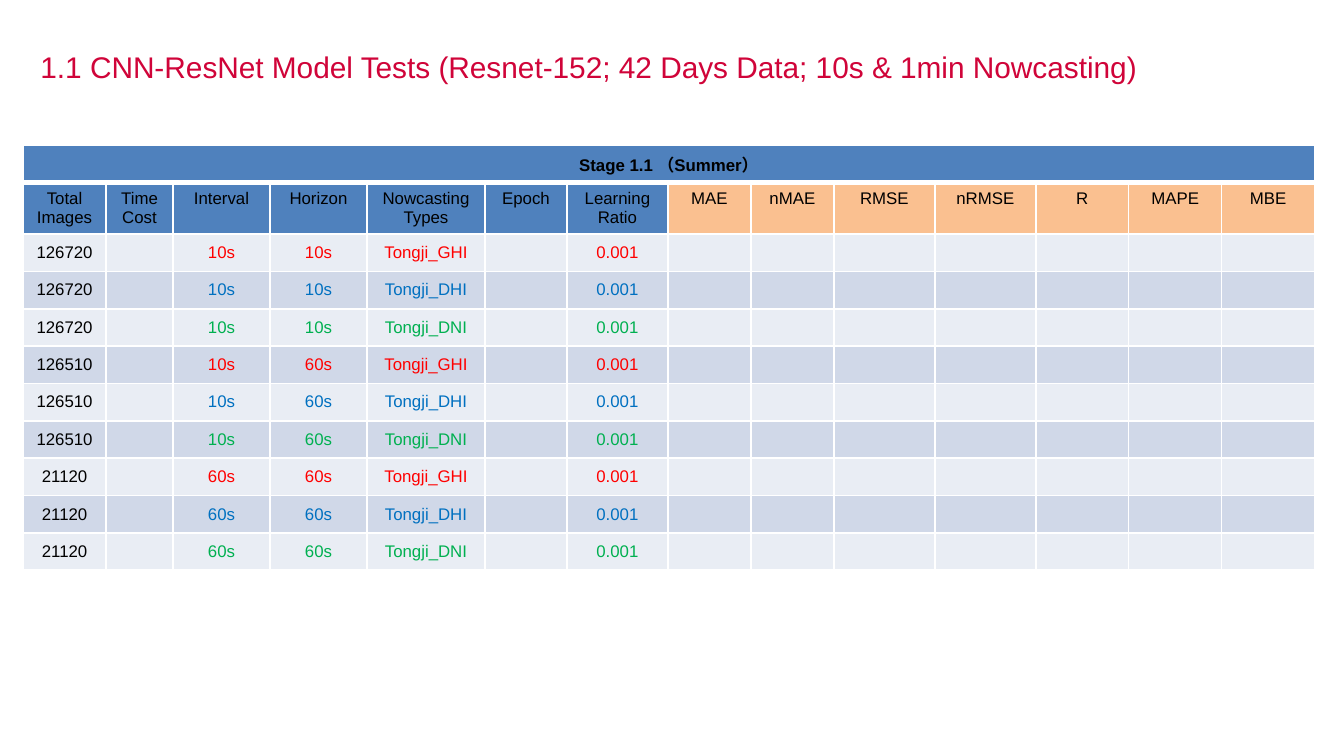
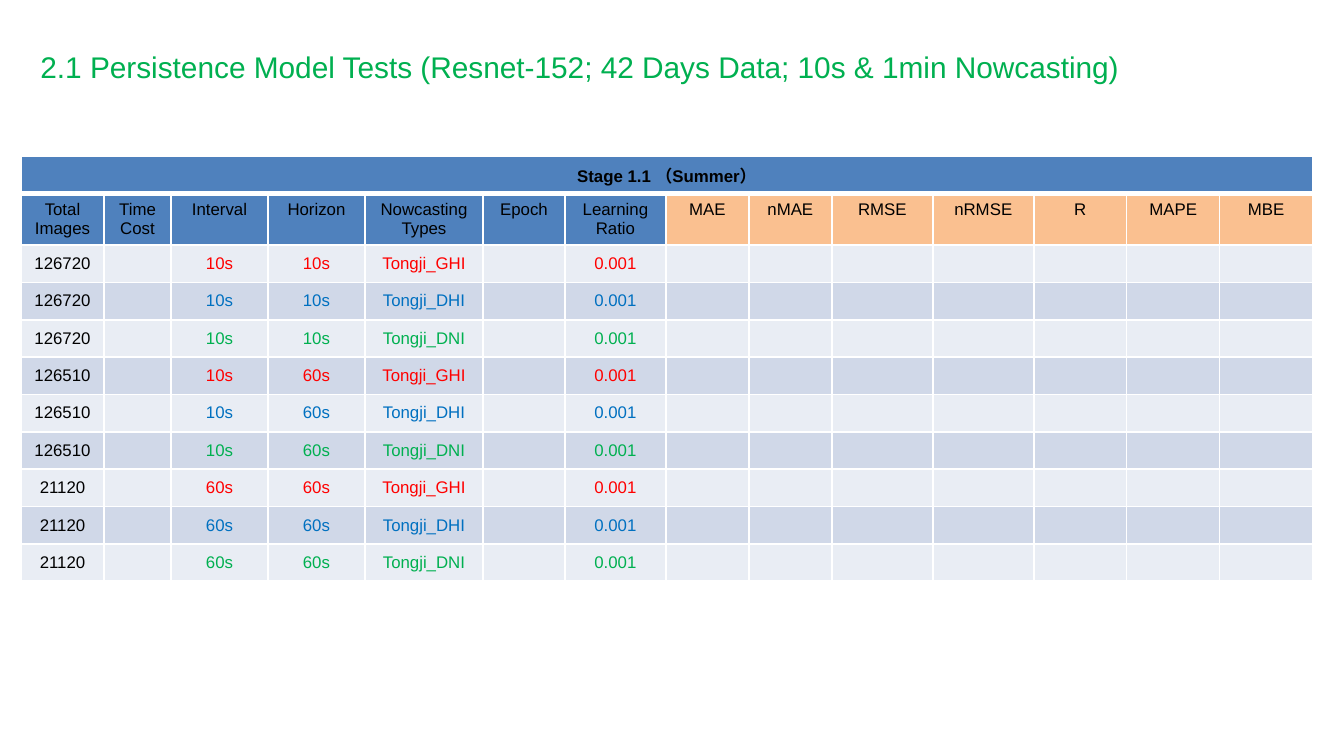
import itertools

import lxml.etree
import pptx
import pptx.dml.color
import pptx.enum.text
import pptx.oxml.ns
import pptx.util

# Content
SLIDES = [
    {"title": "1.1 CNN-ResNet Model Tests (Resnet-152; 42 Days Data; 10s & 1min Nowcasting)",
     "color": "crimson", "table_at": (23, 145)},
    {"title": "2.1 Persistence Model Tests (Resnet-152; 42 Days Data; 10s & 1min Nowcasting)",
     "color": "green", "table_at": (21, 156)},
]
STAGE = "Stage 1.1 （Summer）"
# Heading, width in px, fill
COLUMNS = [
    ("Total\nImages", 83, "blue"),
    ("Time Cost", 67, "blue"),
    ("Interval", 97, "blue"),
    ("Horizon", 97, "blue"),
    ("Nowcasting\nTypes", 118, "blue"),
    ("Epoch", 82, "blue"),
    ("Learning Ratio", 101, "blue"),
    ("MAE", 83, "orange"),
    ("nMAE", 83, "orange"),
    ("RMSE", 101, "orange"),
    ("nRMSE", 101, "orange"),
    ("R", 93, "orange"),
    ("MAPE", 93, "orange"),
    ("MBE", 93, "orange"),
]
# Total images, interval, horizon
DATASETS = [("126720", "10s", "10s"), ("126510", "10s", "60s"), ("21120", "60s", "60s")]
TYPES = [("Tongji_GHI", "red"), ("Tongji_DHI", "azure"), ("Tongji_DNI", "green")]
LEARNING_RATIO = "0.001"

# Style
COLORS = {
    "crimson": "D00439", "green": "00B050", "red": "FF0000", "azure": "0070C0",
    "black": "000000", "white": "FFFFFF", "blue": "4F81BD", "orange": "FAC090",
    "light": "E9EDF4", "dark": "D0D8E8",
}
FONT = "Arial"
TITLE_SIZE, CELL_SIZE = 16, 9
SLIDE_SIZE = (1344, 756)
TITLE_BOX = (27, 40, 1207, 62)
TABLE_HEIGHT = 411
CELL_MARGIN = 12
THIN, THICK = 1, 3


def px(length):
    return pptx.util.Emu(round(length * 914400 / 134.4))


def rgb(name):
    return pptx.dml.color.RGBColor.from_string(COLORS[name])


def add_span(para, text, size, color, bold=False):
    span = para.add_run()
    span.text = text
    span.font.name = FONT
    span.font.size = pptx.util.Pt(size)
    span.font.bold = bold
    span.font.color.rgb = rgb(color)


def add_title(page, text, color):
    box = page.shapes.title
    box.left, box.top, box.width, box.height = map(px, TITLE_BOX)
    frame = box.text_frame
    frame.word_wrap = True
    frame.auto_size = pptx.enum.text.MSO_AUTO_SIZE.NONE
    frame.vertical_anchor = pptx.enum.text.MSO_ANCHOR.TOP
    frame.margin_top = px(9)
    para = frame.paragraphs[0]
    para.alignment = pptx.enum.text.PP_ALIGN.LEFT
    add_span(para, text, TITLE_SIZE, color)


def set_borders(cell, top, bottom):
    properties = cell._tc.get_or_add_tcPr()
    widths = {"a:lnL": THIN, "a:lnR": THIN, "a:lnT": top, "a:lnB": bottom}
    qn = pptx.oxml.ns.qn
    for tag, width in widths.items():
        line = lxml.etree.SubElement(properties, qn(tag), w=str(pptx.util.Pt(width)))
        fill = lxml.etree.SubElement(line, qn("a:solidFill"))
        lxml.etree.SubElement(fill, qn("a:srgbClr"), val=COLORS["white"])


def fill_cell(cell, text, fill, color="black", bold=False, middle=False,
              top=THIN, bottom=THIN):
    set_borders(cell, top, bottom)
    cell.fill.solid()
    cell.fill.fore_color.rgb = rgb(fill)
    cell.margin_left = cell.margin_right = px(CELL_MARGIN)
    anchors = pptx.enum.text.MSO_ANCHOR
    cell.vertical_anchor = anchors.MIDDLE if middle else anchors.TOP
    frame = cell.text_frame
    for index, line in enumerate(text.split("\n")):
        para = frame.add_paragraph() if index else frame.paragraphs[0]
        para.alignment = pptx.enum.text.PP_ALIGN.CENTER
        if line:
            add_span(para, line, CELL_SIZE, color, bold)
        else:
            # Keeps an empty cell as low as a filled one
            lxml.etree.SubElement(para._p, pptx.oxml.ns.qn("a:endParaRPr"),
                                  sz=str(CELL_SIZE * 100))


def add_results_table(page, left, top):
    tests = list(itertools.product(DATASETS, TYPES))
    row_count = len(tests) + 2
    width = sum(column[1] for column in COLUMNS)
    table = page.shapes.add_table(row_count, len(COLUMNS), px(left), px(top),
                                  px(width), px(TABLE_HEIGHT)).table
    table.horz_banding = False
    for column, (_, column_width, _) in zip(table.columns, COLUMNS):
        column.width = px(column_width)
    for row in table.rows:
        row.height = px(TABLE_HEIGHT / row_count)

    # Stage band and headings
    table.cell(0, 0).merge(table.cell(0, len(COLUMNS) - 1))
    for index, (heading, _, fill) in enumerate(COLUMNS):
        fill_cell(table.cell(0, index), "" if index else STAGE, "blue",
                  bold=True, bottom=THICK)
        fill_cell(table.cell(1, index), heading, fill, top=THICK)

    # One row for each test
    for number, ((images, interval, horizon), (kind, color)) in enumerate(tests):
        values = [images, "", interval, horizon, kind, "", LEARNING_RATIO]
        values += [""] * (len(COLUMNS) - len(values))
        for index, value in enumerate(values):
            fill_cell(table.cell(number + 2, index), value,
                      "dark" if number % 2 else "light",
                      color if index else "black", middle=True)


def main():
    deck = pptx.Presentation()
    deck.slide_width, deck.slide_height = map(px, SLIDE_SIZE)
    for content in SLIDES:
        page = deck.slides.add_slide(deck.slide_layouts[5])
        add_title(page, content["title"], content["color"])
        add_results_table(page, *content["table_at"])
    deck.save("out.pptx")


if __name__ == "__main__":
    main()
